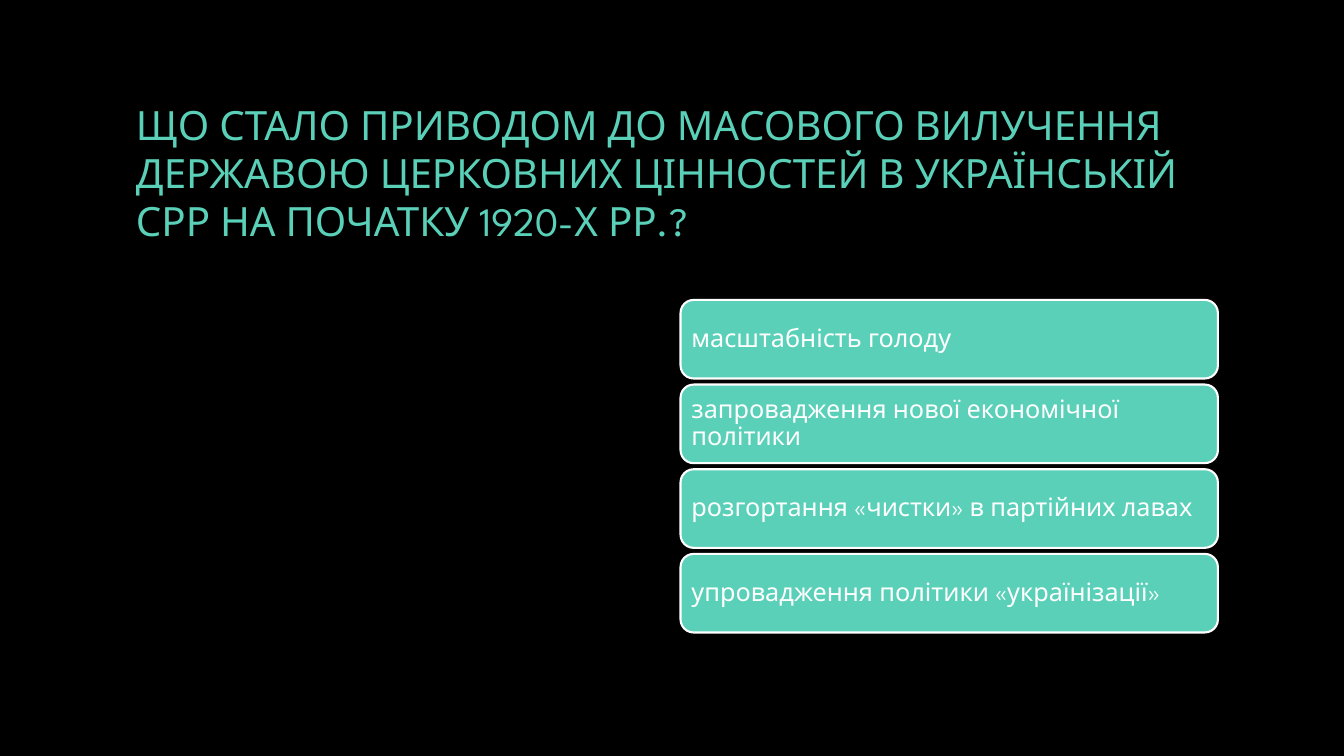
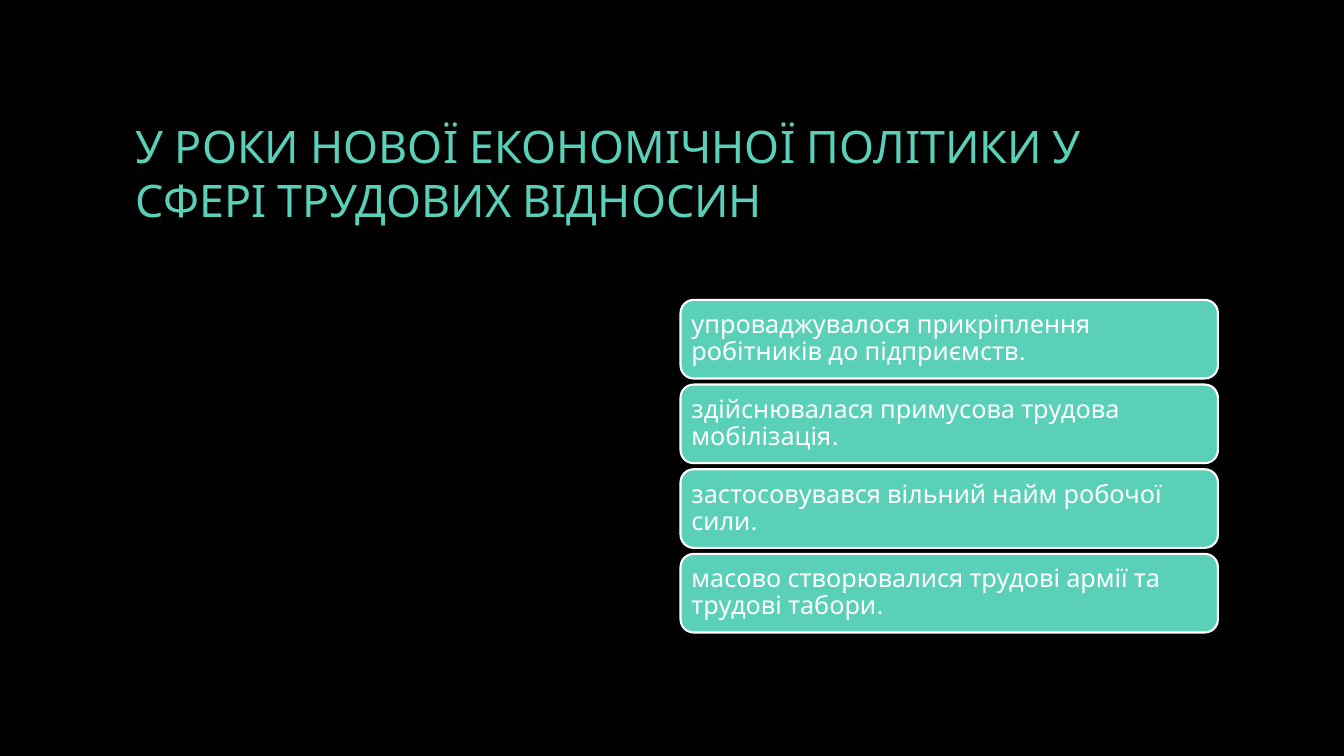
from dataclasses import dataclass

from pptx import Presentation
from pptx.dml.color import RGBColor
from pptx.enum.shapes import MSO_SHAPE
from pptx.enum.text import MSO_ANCHOR, PP_ALIGN
from pptx.util import Inches, Pt

ROUNDED = MSO_SHAPE.ROUNDED_RECTANGLE
MIDDLE = MSO_ANCHOR.MIDDLE
LEFT = PP_ALIGN.LEFT


@dataclass(frozen=True)
class Theme:
    background: RGBColor = RGBColor(0x00, 0x00, 0x00)
    accent: RGBColor = RGBColor(0x5A, 0xD0, 0xB8)
    light: RGBColor = RGBColor(0xFF, 0xFF, 0xFF)
    font: str = "League Spartan"
    answer_size: float = 18
    outline: float = 1.5


theme = Theme()

# Answer column: equal cards at a fixed pitch
CARD_LEFT, CARD_TOP = 6.75, 2.975
CARD_WIDTH, CARD_HEIGHT = 5.33, 0.78
CARD_PITCH = 0.84

# Each question: title, title size, answers
QUESTIONS = [
    (
        "ЩО СТАЛО ПРИВОДОМ ДО МАСОВОГО ВИЛУЧЕННЯ ДЕРЖАВОЮ ЦЕРКОВНИХ "
        "ЦІННОСТЕЙ В УКРАЇНСЬКІЙ СРР НА ПОЧАТКУ 1920-Х РР.?",
        28.8,
        [
            "масштабність голоду",
            "запровадження нової економічної політики",
            "розгортання «чистки» в партійних лавах",
            "упровадження політики «українізації»",
        ],
    ),
    (
        "У РОКИ НОВОЇ ЕКОНОМІЧНОЇ ПОЛІТИКИ У СФЕРІ ТРУДОВИХ ВІДНОСИН",
        32,
        [
            "упроваджувалося прикріплення робітників до підприємств.",
            "здійснювалася примусова трудова мобілізація.",
            "застосовувався вільний найм робочої сили.",
            "масово створювалися трудові армії та трудові табори.",
        ],
    ),
]


def write_text(shape, text, *, size, color, inset, line_spacing=1.0):
    frame = shape.text_frame
    frame.word_wrap = True
    frame.vertical_anchor = MIDDLE
    frame.margin_left = frame.margin_right = Inches(inset)
    frame.margin_top = frame.margin_bottom = Inches(min(inset, 0.07))
    paragraph = frame.paragraphs[0]
    paragraph.text = text
    paragraph.alignment = LEFT
    paragraph.line_spacing = line_spacing
    paragraph.font.name = theme.font
    paragraph.font.size = Pt(size)
    paragraph.font.color.rgb = color


presentation = Presentation()
presentation.slide_width = Inches(13.33)
presentation.slide_height = Inches(7.5)
blank_layout = presentation.slide_layouts[6]

for title, title_size, answers in QUESTIONS:
    slide = presentation.slides.add_slide(blank_layout)
    slide.background.fill.solid()
    slide.background.fill.fore_color.rgb = theme.background

    # Question title
    title_box = slide.shapes.add_textbox(
        Inches(1.25), Inches(0.67), Inches(10.83), Inches(2.08)
    )
    write_text(title_box, title, size=title_size, color=theme.accent, inset=0.1)

    # Answer cards
    for index, answer in enumerate(answers):
        card = slide.shapes.add_shape(
            ROUNDED,
            Inches(CARD_LEFT),
            Inches(CARD_TOP + index * CARD_PITCH),
            Inches(CARD_WIDTH),
            Inches(CARD_HEIGHT),
        )
        card.shadow.inherit = False
        card.fill.solid()
        card.fill.fore_color.rgb = theme.accent
        card.line.color.rgb = theme.light
        card.line.width = Pt(theme.outline)
        write_text(card, answer, size=theme.answer_size, color=theme.light,
                   inset=0.07, line_spacing=0.9)

presentation.save("out.pptx")
